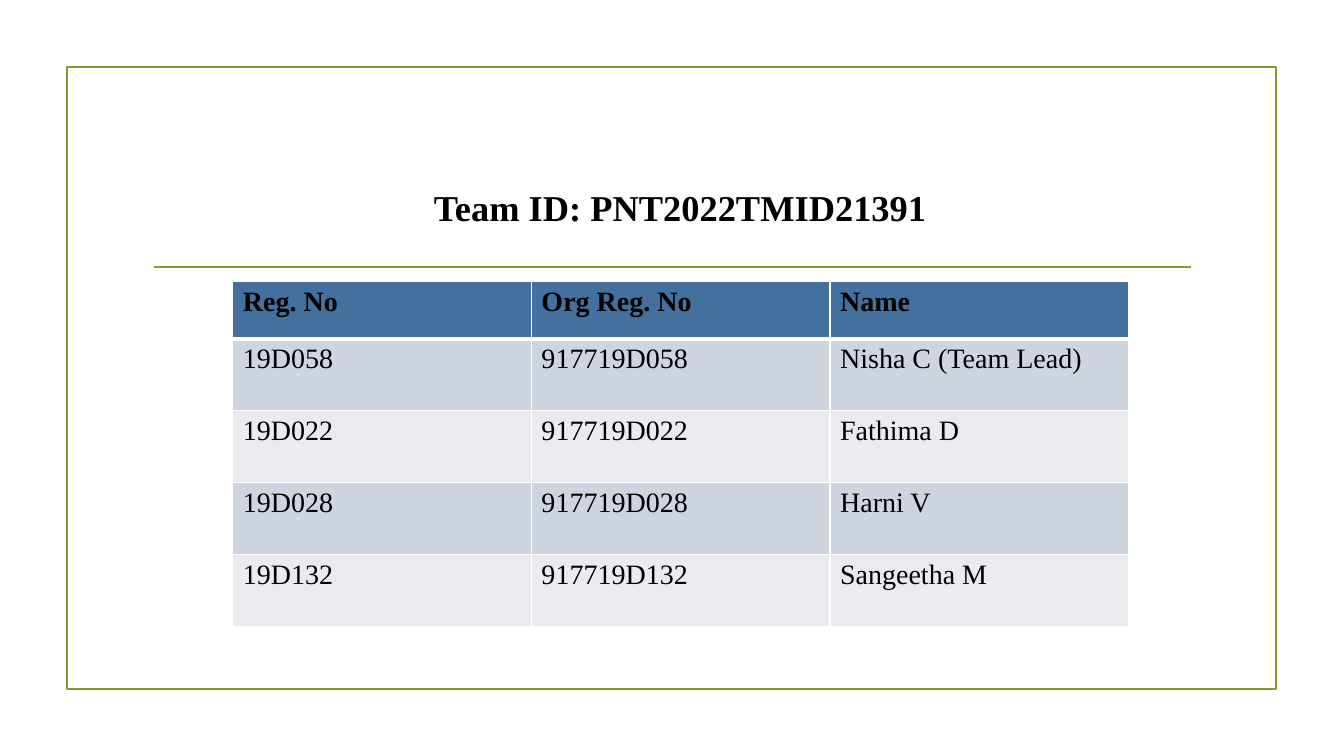
from pptx import Presentation
from pptx.dml.color import RGBColor
from pptx.enum.shapes import MSO_CONNECTOR as Connector, MSO_SHAPE as Shape
from pptx.enum.text import MSO_ANCHOR as Anchor, PP_ALIGN as Align
from pptx.oxml.ns import qn
from pptx.util import Pt
from lxml.etree import SubElement

GREEN = RGBColor(0x83, 0x99, 0x2A)
BLACK = RGBColor(0x00, 0x00, 0x00)
WHITE = RGBColor(0xFF, 0xFF, 0xFF)
HEADER_BLUE = RGBColor(0x44, 0x70, 0x9D)
BAND_DARK = RGBColor(0xCF, 0xD5, 0xDF)
BAND_LIGHT = RGBColor(0xE9, 0xEB, 0xEF)

MEMBERS = [
    ("Reg. No", "Org Reg. No", "Name"),
    ("19D058", "917719D058", "Nisha C (Team Lead)"),
    ("19D022", "917719D022", "Fathima D"),
    ("19D028", "917719D028", "Harni V"),
    ("19D132", "917719D132", "Sangeetha M"),
]


def style_text(para, size, bold):
    for span in para.runs:
        span.font.name = "Times New Roman"
        span.font.size = Pt(size)
        span.font.bold = bold
        span.font.color.rgb = BLACK


def add_border(cell, side, width):
    line = SubElement(cell._tc.get_or_add_tcPr(), qn("a:" + side), w=str(Pt(width)))
    fill = SubElement(line, qn("a:solidFill"))
    SubElement(fill, qn("a:srgbClr"), val=str(WHITE))


deck = Presentation()
deck.slide_width, deck.slide_height = Pt(960), Pt(540)
page = deck.slides.add_slide(deck.slide_layouts[5])

# Title
title = page.shapes.title
title.left, title.top, title.width, title.height = Pt(108), Pt(96.5), Pt(756), Pt(103)
title.text_frame.text = "Team ID: PNT2022TMID21391"
title.text_frame.vertical_anchor = Anchor.MIDDLE
heading = title.text_frame.paragraphs[0]
heading.alignment = Align.CENTER
style_text(heading, 26, True)

# Frame around the page
frame = page.shapes.add_shape(Shape.RECTANGLE, Pt(47.7), Pt(48), Pt(864), Pt(444))
frame.shadow.inherit = False
frame.fill.background()
frame.line.color.rgb = GREEN
frame.line.width = Pt(1.25)

# Rule under the title
rule = page.shapes.add_connector(Connector.STRAIGHT, Pt(110), Pt(190.8), Pt(850.5), Pt(190.8))
rule.line.color.rgb = GREEN
rule.line.width = Pt(1.25)
SubElement(rule._element.spPr, qn("a:effectLst"))

# Team table
table = page.shapes.add_table(
    len(MEMBERS), 3, Pt(166.3), Pt(201), Pt(639.9), Pt(246.6)).table
for column in table.columns:
    column.width = Pt(213.3)
for row_number, member in enumerate(MEMBERS):
    is_header = row_number == 0
    table.rows[row_number].height = Pt(41 if is_header else 51.4)
    band = BAND_DARK if row_number % 2 else BAND_LIGHT
    for column_number, value in enumerate(member):
        cell = table.cell(row_number, column_number)
        cell.text_frame.text = value
        style_text(cell.text_frame.paragraphs[0], 20, is_header)
        add_border(cell, "lnL", 1)
        add_border(cell, "lnR", 1)
        add_border(cell, "lnT", 3 if row_number == 1 else 1)
        add_border(cell, "lnB", 3 if is_header else 1)
        cell.fill.solid()
        cell.fill.fore_color.rgb = HEADER_BLUE if is_header else band

deck.save("out.pptx")
